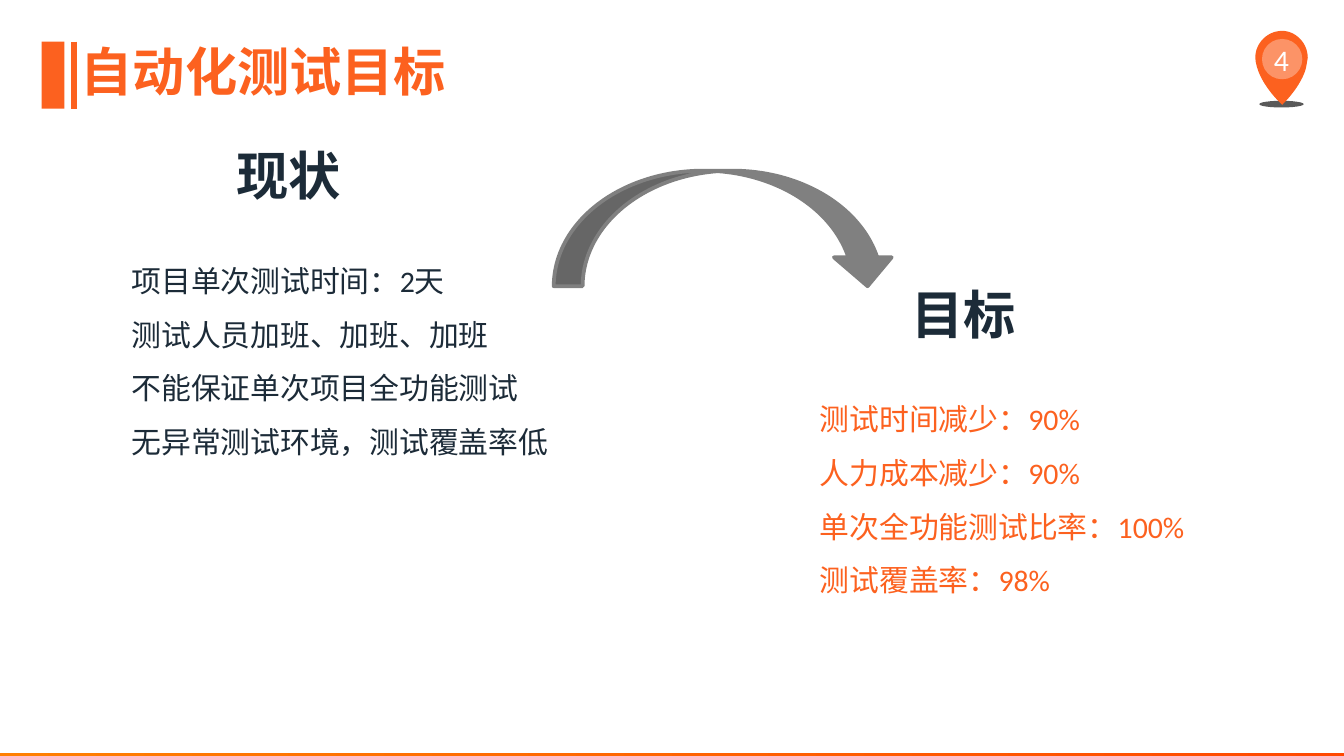
from dataclasses import dataclass

from lxml.etree import SubElement
from pptx import Presentation
from pptx.dml.color import RGBColor
from pptx.enum.shapes import MSO_CONNECTOR as Conn, MSO_SHAPE as Shape
from pptx.enum.text import MSO_ANCHOR as Anchor, MSO_AUTO_SIZE as AutoSize, PP_ALIGN as Align
from pptx.oxml.ns import qn
from pptx.util import Inches, Pt

Box = tuple[float, float, float, float]


@dataclass(frozen=True)
class Theme:
    orange: str = "FC611F"
    navy: str = "1C2B38"
    gray: str = "808080"
    dark: str = "595959"
    white: str = "FFFFFF"
    bar: tuple[str, str] = ("FF7F00", "FF4800")
    latin: str = "Calibri"
    cjk: str = "Noto Sans CJK SC"
    heading: int = 28
    body: int = 16


@dataclass(frozen=True)
class Style:
    color: str
    size: int
    bold: bool = False
    align: Align = Align.CENTER
    spacing: float = 1.0
    wrap: bool = False
    anchor: Anchor = Anchor.TOP


@dataclass(frozen=True)
class Panel:
    heading: str
    heading_box: Box
    lines: tuple[str, ...]
    lines_box: Box
    color: str


T = Theme()
HEADING = Style(T.navy, T.heading, bold=True)
PANELS = (
    Panel("现状", (1.57, 1.02, 1.15, 0.57),
          ("项目单次测试时间：2天", "测试人员加班、加班、加班",
           "不能保证单次项目全功能测试", "无异常测试环境，测试覆盖率低"),
          (0.88, 1.77, 3.39, 1.72), T.navy),
    Panel("目标", (6.63, 2.05, 1.08, 0.57),
          ("测试时间减少：90%", "人力成本减少：90%",
           "单次全功能测试比率：100%", "测试覆盖率：98%"),
          (6, 2.8, 3.02, 1.72), T.orange),
)
PIN_START = (9.73, 0.43)
PIN_CURVES = (
    ((9.73, 0.32), (9.64, 0.23), (9.54, 0.23)),
    ((9.43, 0.23), (9.34, 0.32), (9.34, 0.43)),
    ((9.35, 0.61), (9.54, 0.78), (9.54, 0.78)),
    ((9.66, 0.66), (9.71, 0.55), (9.72, 0.49)),
)


def rgb(color: str) -> RGBColor:
    return RGBColor.from_string(color)


def apply(target, values: dict) -> None:
    for name, value in values.items():
        setattr(target, name, value)


def place(sp, box: Box) -> None:
    apply(sp, dict(zip(("left", "top", "width", "height"), map(Inches, box))))


def write(sp, lines: tuple[str, ...], style: Style) -> None:
    tf = sp.text_frame
    apply(tf, {"word_wrap": style.wrap, "auto_size": AutoSize.NONE,
               "vertical_anchor": style.anchor})
    for i, line in enumerate(lines):
        p = tf.paragraphs[0] if i == 0 else tf.add_paragraph()
        apply(p, {"alignment": style.align, "line_spacing": style.spacing,
                  "space_before": Pt(0)})
        pPr = p._p.get_or_add_pPr()
        pPr.set("marL", "0")
        pPr.set("indent", "0")
        SubElement(pPr, qn("a:buNone"))
        r = p.add_run()
        r.text = line
        apply(r.font, {"name": T.latin, "size": Pt(style.size), "bold": style.bold})
        r.font.color.rgb = rgb(style.color)
        SubElement(r._r.get_or_add_rPr(), qn("a:ea"), typeface=T.cjk)


def add_text(s, text: str, box: Box, style: Style) -> None:
    sp = s.shapes.add_textbox(*map(Inches, box))
    write(sp, (text,), style)


def paint(sp, color: str) -> None:
    sp.shadow.inherit = False
    sp.fill.solid()
    sp.fill.fore_color.rgb = rgb(color)
    sp.line.fill.background()


def add_shape(s, kind: Shape, box: Box, color: str):
    sp = s.shapes.add_shape(kind, *map(Inches, box))
    paint(sp, color)
    return sp


def bezier(p0, p1, p2, p3, steps: int = 16) -> list[tuple[float, float]]:
    """Points along a cubic curve, without its start."""
    points = []
    for i in range(1, steps + 1):
        t = i / steps
        u = 1 - t
        points.append(tuple(u**3 * a + 3 * u * u * t * b + 3 * u * t * t * c + t**3 * d
                            for a, b, c, d in zip(p0, p1, p2, p3)))
    return points


def add_page_pin(s, number: str) -> None:
    add_shape(s, Shape.OVAL, (9.37, 0.75, 0.33, 0.05), T.dark)
    points = [PIN_START]
    for curve in PIN_CURVES:
        points += bezier(points[-1], *curve)
    scaled = [(Inches(x), Inches(y)) for x, y in points]
    builder = s.shapes.build_freeform(*scaled[0])
    builder.add_line_segments(scaled[1:], close=True)
    paint(builder.convert_to_shape(), T.orange)
    disc = add_shape(s, Shape.OVAL, (9.39, 0.29, 0.3, 0.3), T.white)
    SubElement(disc.fill._xPr.find(".//" + qn("a:srgbClr")), qn("a:alpha"), val="32000")
    add_text(s, number, (8.37, 0.29, 2.33, 0.3),
             Style(T.white, T.body, wrap=True, anchor=Anchor.MIDDLE))


def add_title(s, text: str) -> None:
    add_shape(s, Shape.RECTANGLE, (0.31, 0.31, 0.17, 0.5), T.orange)
    rule = s.shapes.add_connector(Conn.STRAIGHT, *map(Inches, (0.55, 0.31, 0.55, 0.81)))
    rule.line.color.rgb = rgb(T.orange)
    rule.line.width = Pt(3)
    SubElement(rule._element.spPr, qn("a:effectLst"))
    title = s.shapes.title
    place(title, (0.48, 0.24, 2.96, 0.57))
    write(title, (text,), Style(T.orange, T.heading, bold=True))


def add_footer_bar(s) -> None:
    bar = add_shape(s, Shape.RECTANGLE, (0, 5.6, 10, 0.06), T.bar[0])
    bar.fill.gradient()
    bar.fill.gradient_angle = 0
    for stop, color, position in zip(bar.fill.gradient_stops, T.bar, (0, 1)):
        stop.color.rgb = rgb(color)
        stop.position = position


def add_panel(s, panel: Panel, body) -> None:
    add_text(s, panel.heading, panel.heading_box, HEADING)
    place(body, panel.lines_box)
    write(body, panel.lines, Style(panel.color, T.body, align=Align.JUSTIFY,
                                   spacing=1.5, wrap=True))


def main() -> None:
    prs = Presentation()
    width = Inches(10)
    apply(prs, {"slide_width": width, "slide_height": width * 9 // 16})
    s = prs.slides.add_slide(prs.slide_layouts.get_by_name("Two Content"))
    add_page_pin(s, "4")
    add_title(s, "自动化测试目标")
    add_footer_bar(s)
    for idx, panel in enumerate(PANELS, start=1):
        add_panel(s, panel, s.placeholders[idx])
    arrow = add_shape(s, Shape.CURVED_DOWN_ARROW, (4.12, 1.27, 2.55, 0.86), T.gray)
    arrow.line.color.rgb = rgb(T.gray)
    arrow.line.width = Pt(2)
    prs.save("out.pptx")


if __name__ == "__main__":
    main()
